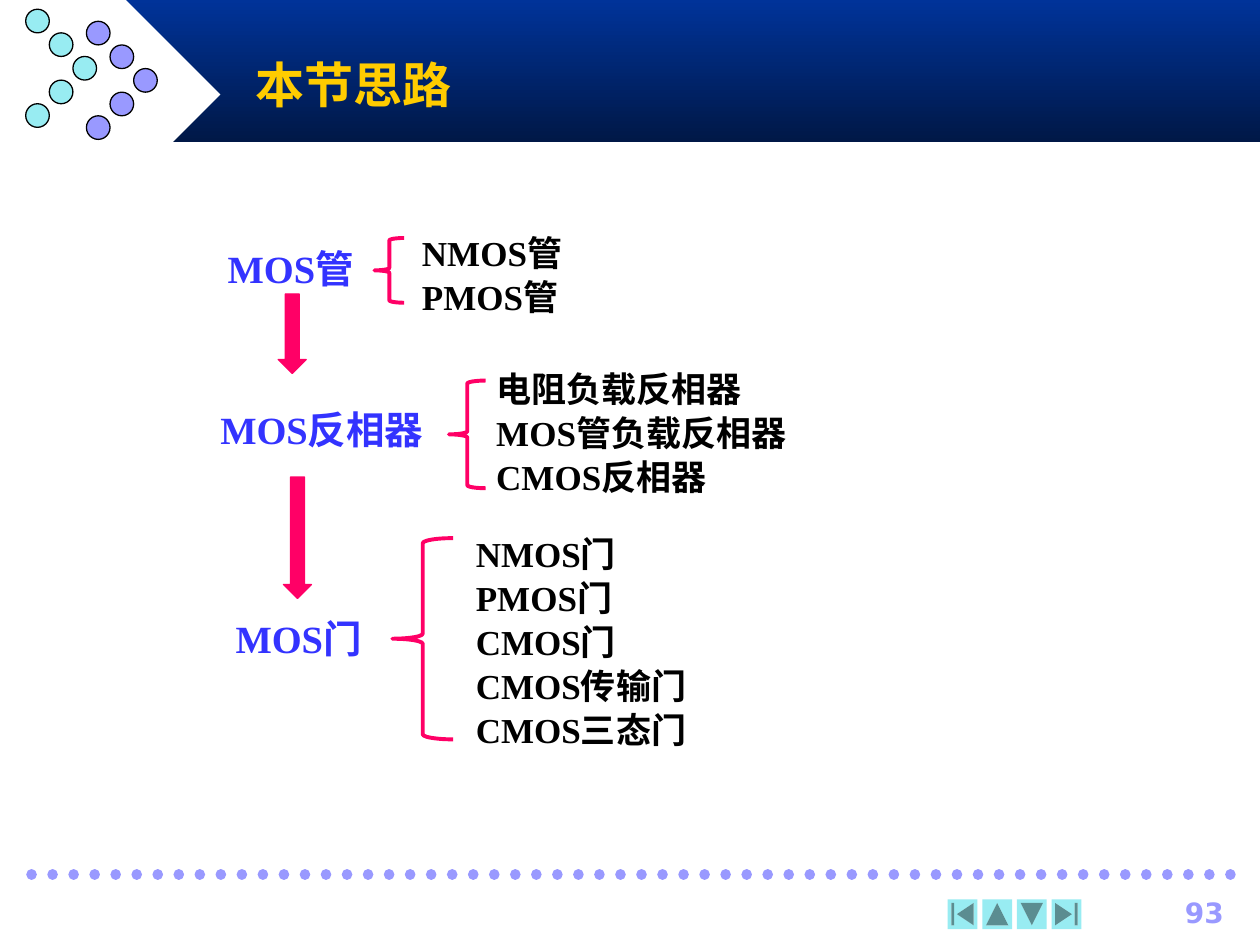
from lxml import etree
from pptx import Presentation
from pptx.dml.color import RGBColor
from pptx.enum.shapes import MSO_CONNECTOR, MSO_SHAPE
from pptx.enum.text import MSO_ANCHOR, PP_ALIGN
from pptx.oxml.ns import qn
from pptx.util import Pt

RECT, DIAMOND, OVAL = MSO_SHAPE.RECTANGLE, MSO_SHAPE.DIAMOND, MSO_SHAPE.OVAL
BRACE, ARROW = MSO_SHAPE.LEFT_BRACE, MSO_SHAPE.DOWN_ARROW
FIRST, LAST = MSO_SHAPE.ACTION_BUTTON_BEGINNING, MSO_SHAPE.ACTION_BUTTON_END
BACK, NEXT = MSO_SHAPE.ACTION_BUTTON_BACK_OR_PREVIOUS, MSO_SHAPE.ACTION_BUTTON_FORWARD_OR_NEXT
LEFT, RIGHT, JUST = PP_ALIGN.LEFT, PP_ALIGN.RIGHT, PP_ALIGN.JUSTIFY
MIDDLE, TOP = MSO_ANCHOR.MIDDLE, MSO_ANCHOR.TOP

WHITE, BLACK, PINK = "FFFFFF", "000000", "FF0066"
AQUA, LILAC, BLUE, GOLD = "98ECF2", "9999FF", "3333FF", "FFCC00"
SERIF = "Times New Roman"

# Topic: label, label box, brace box, items, items box
TOPICS = [
    ("MOS管", (123, 134, 106, 37), (214, 136, 17, 37),
     ["NMOS管", "PMOS管"], (234, 127.5, 112, 58)),
    ("MOS反相器", (118.8, 226, 146, 37), (256.5, 217.5, 21, 61.5),
     ["电阻负载反相器MOS管负载反相器", "CMOS反相器"], (276.5, 205.2, 191, 83)),
    ("MOS门", (127.5, 345.5, 109, 37), (224.2, 307.5, 34.8, 115),
     ["NMOS门", "PMOS门", "CMOS门", "CMOS传输门", "CMOS三态门"],
     (264.8, 299.5, 191, 133)),
]
ARROWS = [(159, 168, 16, 45.4), (162, 272.6, 16, 69.4)]


def color(code):
    return RGBColor.from_string(code)


def add_shape(slide, kind, box, fill=None, line=None, width=0.75):
    shape = slide.shapes.add_shape(kind, *map(Pt, box))
    shape.shadow.inherit = False
    if fill:
        shape.fill.solid()
        shape.fill.fore_color.rgb = color(fill)
    else:
        shape.fill.background()
    if line:
        shape.line.color.rgb = color(line)
        shape.line.width = Pt(width)
    else:
        shape.line.fill.background()
    return shape


def add_text(slide, box, lines, size, ink, face, align=LEFT, anchor=TOP, space=1.0):
    frame = slide.shapes.add_textbox(*map(Pt, box)).text_frame
    frame.word_wrap = True
    frame.vertical_anchor = anchor
    for i, line in enumerate(lines):
        para = frame.add_paragraph() if i else frame.paragraphs[0]
        para.text = line
        para.alignment = align
        para.line_spacing = space
        font = para.font
        font.size, font.bold, font.name = Pt(size), True, face
        font.color.rgb = color(ink)


def add_dots(slide, left, top, fill, size=13.5):
    """Five dots in the form of an arrowhead that points right."""
    for row, col in enumerate([0, 1, 2, 1, 0]):
        box = (left + col * size, top + row * size, size, size)
        add_shape(slide, OVAL, box, fill, BLACK)


def add_header(slide, left, top, width, height):
    band = add_shape(slide, RECT, (left + 72, top, width - 72, height), WHITE)
    band.fill.gradient()
    band.fill.gradient_angle = 270
    for stop, code, place in zip(band.fill.gradient_stops, ("003399", "001847"), (0, 1)):
        stop.color.rgb = color(code)
        stop.position = place
    add_shape(slide, DIAMOND, (left + 18, top, 108, 108), WHITE)
    add_dots(slide, left + 49.4, top + 12.2, LILAC)
    add_dots(slide, left + 14.7, top + 5.3, AQUA)
    add_text(slide, (left + 139, top + 24, width - 139, 48), ["本节思路"],
             28, GOLD, "Arial", anchor=MIDDLE)


def add_topic(slide, label, label_box, brace_box, items, items_box):
    add_text(slide, label_box, [label], 22, BLUE, SERIF, JUST, space=1.1)
    add_shape(slide, BRACE, brace_box, line=PINK, width=2.25)
    add_text(slide, items_box, items, 20, BLACK, SERIF, space=1.05)


def add_rule(slide, left, top, width):
    """Row of round dots."""
    rule = slide.shapes.add_connector(
        MSO_CONNECTOR.STRAIGHT, Pt(left), Pt(top), Pt(left + width), Pt(top))
    rule.line.color.rgb = color(LILAC)
    rule.line.width = Pt(6)
    line = rule.line._get_or_add_ln()
    line.set("cap", "rnd")
    etree.SubElement(line, qn("a:prstDash"), val="sysDot")
    etree.SubElement(rule._element.spPr, qn("a:effectLst"))


def add_footer(slide, left, top, width):
    add_rule(slide, left, top, width)
    buttons = [(FIRST, 0), (BACK, 90), (NEXT, 90), (LAST, 0)]
    for i, (kind, turn) in enumerate(buttons):
        box = (left + 523.5 + i * 19.8, top + 14.2, 17, 17)
        add_shape(slide, kind, box, AQUA).rotation = turn
    add_text(slide, (left + 620, top + 8.5, 68.4, 24), ["93"],
             16, LILAC, "DejaVu Sans", RIGHT)


def main():
    deck = Presentation()
    deck.slide_width, deck.slide_height = Pt(720), Pt(540)
    slide = deck.slides.add_slide(deck.slide_layouts[6])
    add_header(slide, 0, 0, 720, 81)
    for topic in TOPICS:
        add_topic(slide, *topic)
    for box in ARROWS:
        add_shape(slide, ARROW, box, PINK, PINK)
    add_footer(slide, 18, 499.7, 690)
    deck.save("out.pptx")


if __name__ == "__main__":
    main()
